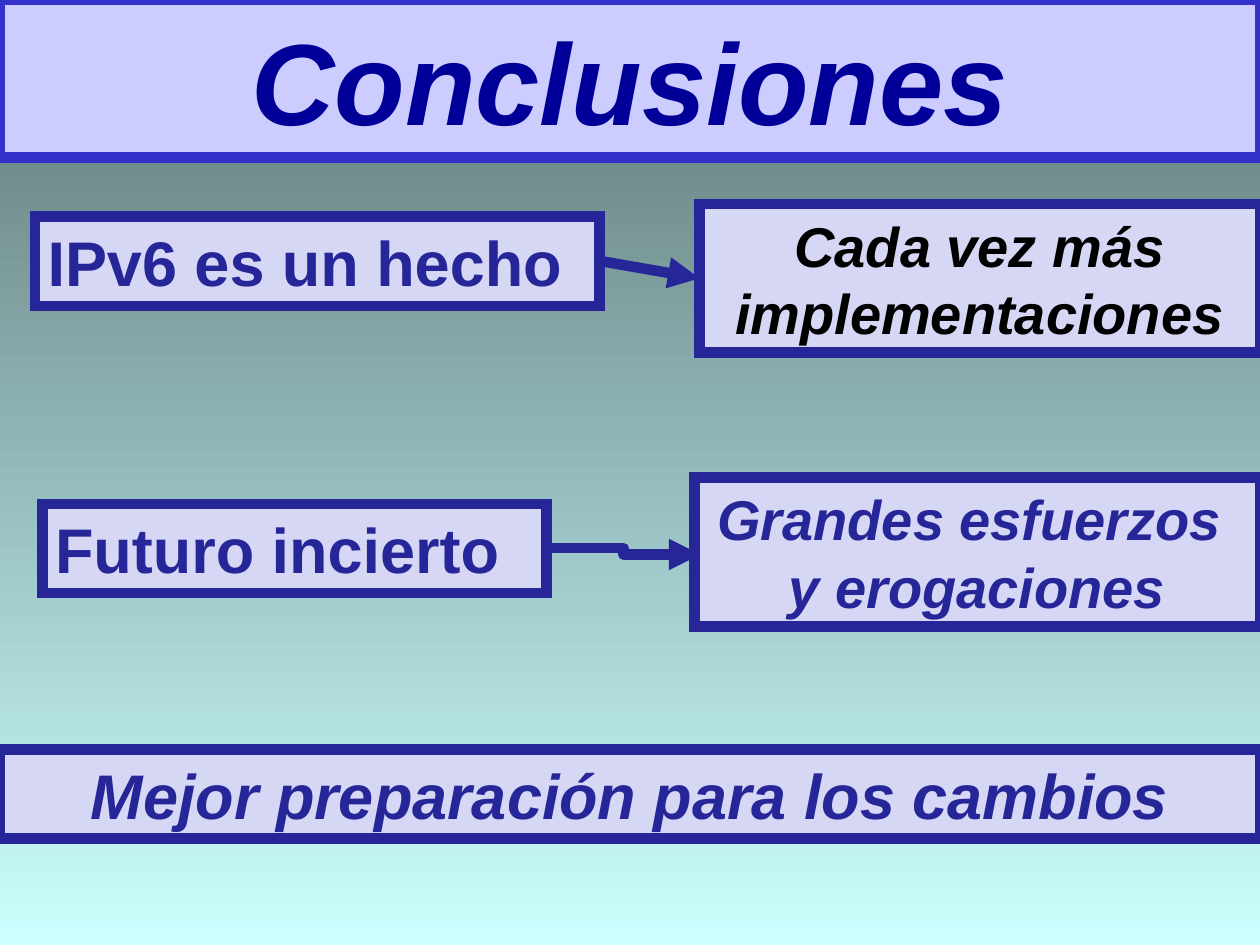
import pptx
import pptx.dml.color
import pptx.enum.shapes
import pptx.enum.text
import pptx.oxml.ns
import pptx.util
from lxml import etree

Cm = pptx.util.Cm
Pt = pptx.util.Pt
ALIGN = pptx.enum.text.PP_ALIGN
CONNECTOR = pptx.enum.shapes.MSO_CONNECTOR

COLORS = {
    "top": "5E7676", "bottom": "CCFFFF",
    "title_fill": "CCCCFF", "title_line": "3333CC", "title_text": "000099",
    "box": "D6D6F5", "navy": "262699", "black": "000000",
}
LINE_WIDTH = Pt(6)
BOX_FRAME = {"word_wrap": True,
             "vertical_anchor": pptx.enum.text.MSO_ANCHOR.MIDDLE}
PLAIN = {"name": "Arial", "bold": True, "italic": False, "size": Pt(36)}
ITALIC = PLAIN | {"italic": True}
EFFECT = ITALIC | {"size": Pt(32)}
TITLE = ITALIC | {"size": Pt(66)}


def rgb(name):
    return pptx.dml.color.RGBColor.from_string(COLORS[name])


def set_attributes(obj, values):
    for name, value in values.items():
        setattr(obj, name, value)


def add_xml(parent, tag, **attributes):
    etree.SubElement(parent, pptx.oxml.ns.qn(tag), **attributes)


def set_line(shape, color):
    shape.line.color.rgb = rgb(color)
    shape.line.width = LINE_WIDTH


def set_background(s):
    fill = s.background.fill
    fill.gradient()
    fill.gradient_angle = 270
    for stop, position, color in zip(fill.gradient_stops, (0, 1), ("top", "bottom")):
        stop.position = position
        stop.color.rgb = rgb(color)


def add_box(s, bounds, lines, font, align=ALIGN.CENTER,
            fill="box", line="navy", color="navy"):
    """Add a bordered text box; bounds are left, top, width, height in cm."""
    sp = s.shapes.add_textbox(*map(Cm, bounds))
    sp.fill.solid()
    sp.fill.fore_color.rgb = rgb(fill)
    set_line(sp, line)
    add_xml(sp.line._get_or_add_ln(), "a:miter", lim="800000")
    tf = sp.text_frame
    set_attributes(tf, BOX_FRAME)
    tf.text = "\n".join(lines)
    for p in tf.paragraphs:
        p.alignment = align
        for r in p.runs:
            set_attributes(r.font, font)
            r.font.color.rgb = rgb(color)


def add_arrow(s, kind, start, end):
    """Add an arrow between two points given in cm."""
    cxn = s.shapes.add_connector(kind, *map(Cm, start + end))
    set_line(cxn, "navy")
    add_xml(cxn.line._get_or_add_ln(), "a:tailEnd", type="triangle")
    add_xml(cxn._element.spPr, "a:effectLst")


def main():
    prs = pptx.Presentation()
    prs.slide_width, prs.slide_height = Cm(25.4), Cm(19.05)
    s = prs.slides.add_slide(prs.slide_layouts[6])
    set_background(s)

    add_box(s, (0, 0, 25.4, 3.18), ["Conclusiones"], TITLE,
            fill="title_fill", line="title_line", color="title_text")
    add_box(s, (0.71, 4.37, 11.38, 1.8), ["IPv6 es un hecho"], PLAIN, ALIGN.LEFT)
    add_box(s, (14.1, 4.11, 11.3, 3), ["Cada vez más implementaciones"], EFFECT,
            color="black")
    add_box(s, (0.86, 10.16, 10.16, 1.8), ["Futuro incierto"], PLAIN, ALIGN.LEFT)
    add_box(s, (14, 9.63, 11.4, 3), ["Grandes esfuerzos ", "y erogaciones"], EFFECT)
    add_box(s, (0, 15.11, 25.4, 1.8), ["Mejor preparación para los cambios"], ITALIC)

    add_arrow(s, CONNECTOR.STRAIGHT, (12.09, 5.26), (14.1, 5.61))
    add_arrow(s, CONNECTOR.ELBOW, (11.02, 11.05), (14.12, 11.18))
    prs.save("out.pptx")


if __name__ == "__main__":
    main()
